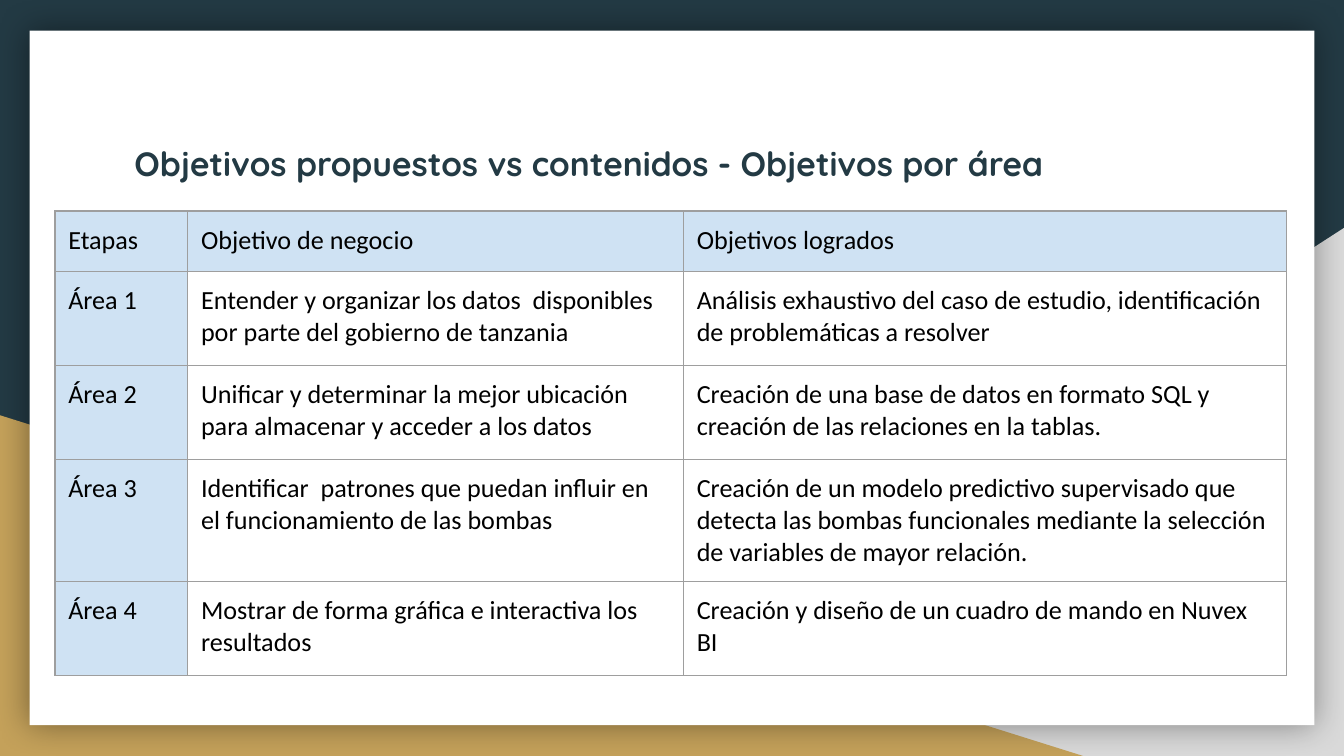
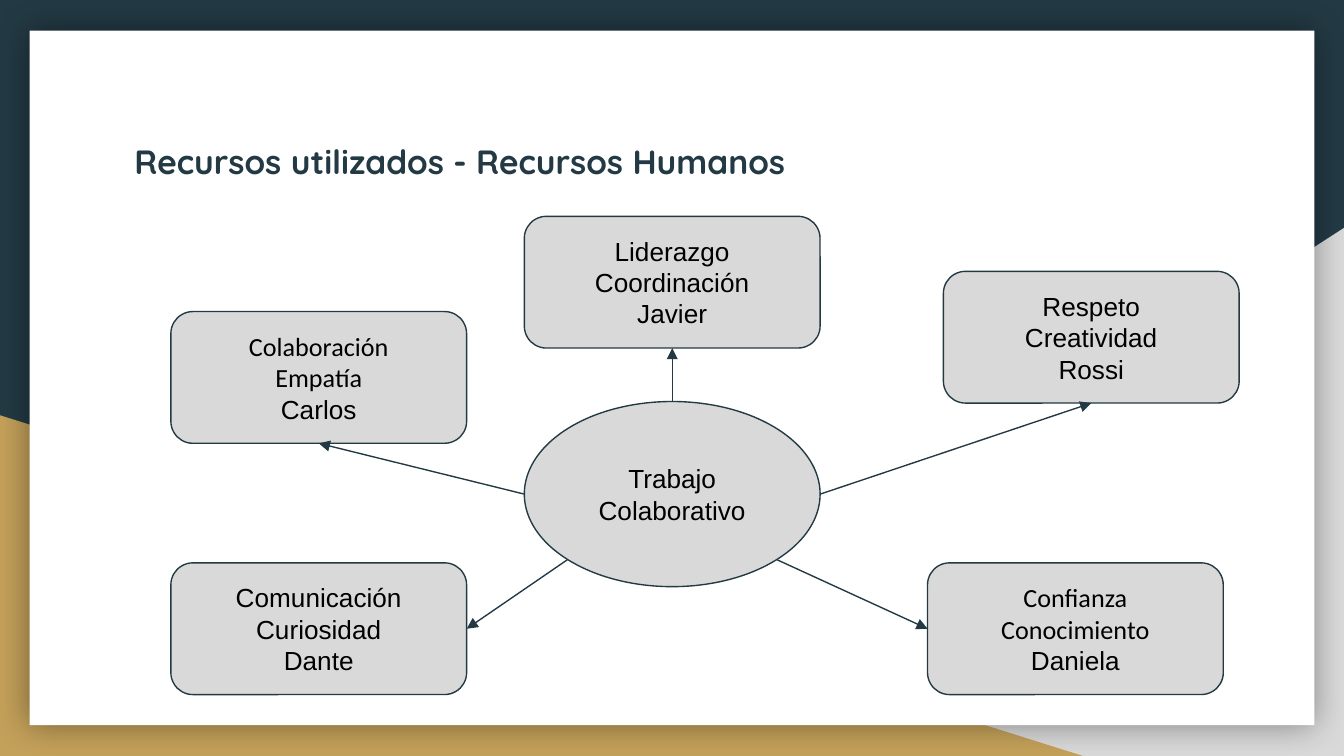
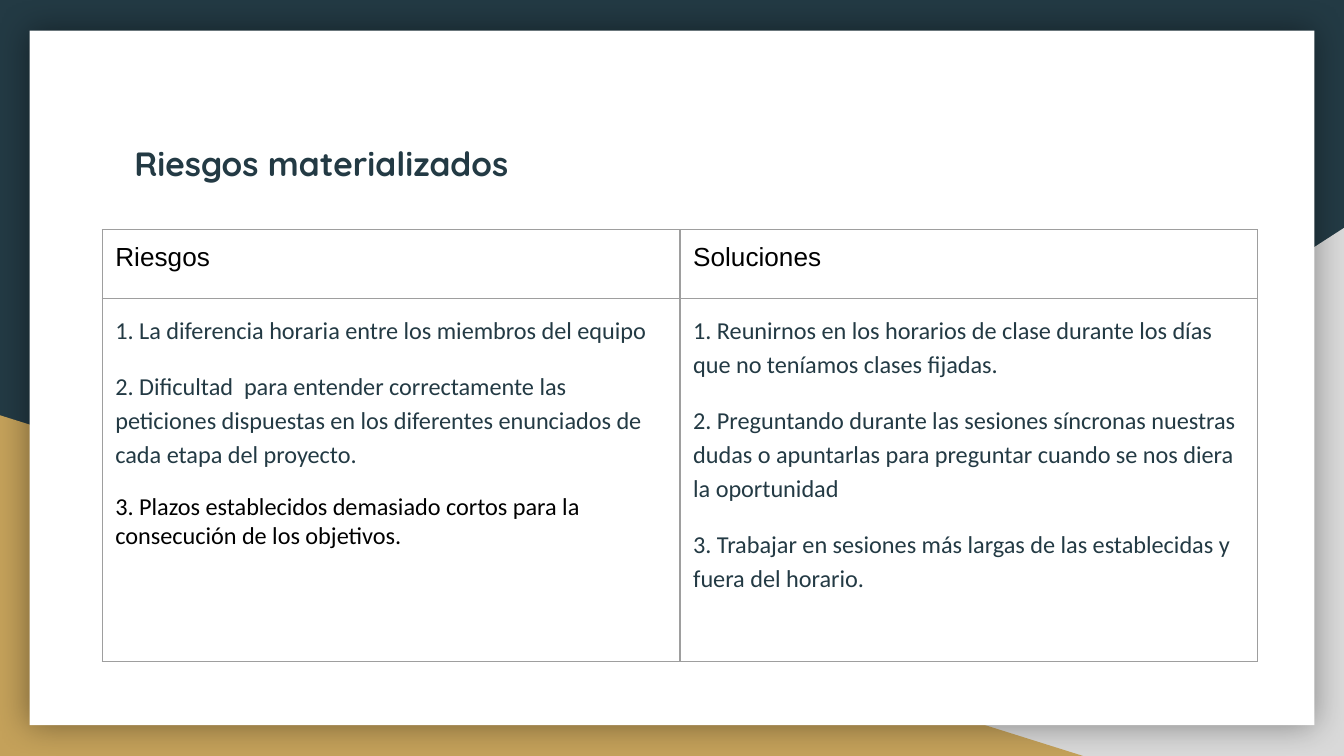
from lxml import etree
from pptx import Presentation
from pptx.dml.color import RGBColor
from pptx.enum import shapes, text
from pptx.oxml import ns
from pptx.util import Cm, Pt

NAVY = RGBColor(0x23, 0x3A, 0x44)
GOLD = RGBColor(0xC4, 0xA1, 0x5A)
SILVER = RGBColor(0xD9, 0xD9, 0xD9)
WHITE = RGBColor(0xFF, 0xFF, 0xFF)
BLACK = RGBColor(0x00, 0x00, 0x00)
SKY = RGBColor(0xCF, 0xE2, 0xF3)
GRID = RGBColor(0x9E, 0x9E, 0x9E)

HEADING_FONT, BODY_FONT, LABEL_FONT = "Quicksand", "Calibri", "Arial"
WIDTH, HEIGHT = 25.4, 14.29
INSET = Cm(0.25)

AREAS_TITLE = "Objetivos propuestos vs contenidos - Objetivos por área"
AREAS = [
    ("Etapas", "Objetivo de negocio", "Objetivos logrados"),
    ("Área 1",
     "Entender y organizar los datos  disponibles por parte del gobierno de tanzania",
     "Análisis exhaustivo del caso de estudio, identificación de problemáticas a resolver"),
    ("Área 2",
     "Unificar y determinar la mejor ubicación para almacenar y acceder a los datos",
     "Creación de una base de datos en formato SQL y creación de las relaciones en la tablas."),
    ("Área 3",
     "Identificar  patrones que puedan influir en el funcionamiento de las bombas",
     "Creación de un modelo predictivo supervisado que detecta las bombas funcionales "
     "mediante la selección de variables de mayor relación."),
    ("Área 4",
     "Mostrar de forma gráfica e interactiva los resultados",
     "Creación y diseño de un cuadro de mando en Nuvex BI"),
]

TEAM_TITLE = "Recursos utilizados - Recursos Humanos"
TEAM_CORE = "Trabajo Colaborativo"
CORE_BOX = (9.91, 7.59, 5.59, 3.5)
MEMBER_SIZE = (5.59, 2.49)
TOP, LEFT, BOTTOM, RIGHT = range(4)
DIAGONAL = 0.71
MEMBERS = [
    (("Respeto", "Creatividad", "Rossi"), LABEL_FONT, (17.83, 5.13), (1, 0), BOTTOM),
    (("Confianza", "Conocimiento", "Daniela"), BODY_FONT, (17.53, 10.64),
     (DIAGONAL, DIAGONAL), LEFT),
    (("Comunicación", "Curiosidad", "Dante"), LABEL_FONT, (3.23, 10.64),
     (-DIAGONAL, DIAGONAL), RIGHT),
    (("Liderazgo", "Coordinación", "Javier"), LABEL_FONT, (9.91, 4.09), (0, -1), TOP + BOTTOM),
    (("Colaboración", "Empatía", "Carlos"), BODY_FONT, (3.23, 5.89), (-1, 0), BOTTOM),
]

RISKS_TITLE = "Riesgos materializados"
RISK_HEADS = ("Riesgos", "Soluciones")
RISKS = [
    [("1. La diferencia horaria entre los miembros del equipo", NAVY),
     ("2. Dificultad  para entender correctamente las peticiones dispuestas en los "
      "diferentes enunciados de cada etapa del proyecto.", NAVY),
     ("3. Plazos establecidos demasiado cortos para la consecución de los objetivos.", BLACK)],
    [("1. Reunirnos en los horarios de clase durante los días que no teníamos clases fijadas.",
      NAVY),
     ("2. Preguntando durante las sesiones síncronas nuestras dudas o apuntarlas para "
      "preguntar cuando se nos diera la oportunidad", NAVY),
     ("3. Trabajar en sesiones más largas de las establecidas y fuera del horario.", NAVY)],
]


def write(paragraph, words, font, size, color, bold=False):
    run = paragraph.add_run()
    run.text = words
    run.font.name = font
    run.font.size = Pt(size)
    run.font.color.rgb = color
    run.font.bold = bold


def pad(holder):
    holder.margin_left = holder.margin_right = INSET
    holder.margin_top = holder.margin_bottom = INSET


def add_figure(slide, kind, box, fill, outline=None):
    figure = slide.shapes.add_shape(kind, *map(Cm, box))
    figure.shadow.inherit = False
    figure.fill.solid()
    figure.fill.fore_color.rgb = fill
    if outline is None:
        figure.line.fill.background()
    else:
        figure.line.color.rgb = outline
        figure.line.width = Pt(0.75)
    return figure


def add_backdrop(slide, layout):
    layout.background.fill.solid()
    layout.background.fill.fore_color.rgb = NAVY
    for holder in list(layout.placeholders)[1:]:
        holder.element.getparent().remove(holder.element)
    triangle = shapes.MSO_SHAPE.RIGHT_TRIANGLE
    silver_corner = add_figure(slide, triangle, (WIDTH - 15.44, HEIGHT - 9.98, 15.44, 9.98), SILVER)
    silver_corner.element.spPr.find(ns.qn("a:xfrm")).set("flipH", "1")
    gold_corner = add_figure(slide, triangle, (0, HEIGHT - 6.44, 20.47, 6.44), GOLD)
    card = add_figure(slide, shapes.MSO_SHAPE.RECTANGLE, (0.56, 0.58, 24.28, 13.13), WHITE)
    effects = card.element.spPr.find(ns.qn("a:effectLst"))
    glow = etree.SubElement(effects, ns.qn("a:outerShdw"), blurRad=str(Pt(18)), dist="0",
                            algn="ctr", rotWithShape="0")
    shade = etree.SubElement(glow, ns.qn("a:srgbClr"), val=str(BLACK))
    etree.SubElement(shade, ns.qn("a:alpha"), val="40000")
    tree = layout.placeholders[0].element.getparent()
    for place, part in enumerate((silver_corner, gold_corner, card), start=2):
        tree.insert(place, part.element)


def add_title(slide, words, top=2.34, height=2.64):
    title = slide.shapes.title
    title.left, title.top, title.width, title.height = map(Cm, (2.29, top, 20.85, height))
    frame = title.text_frame
    pad(frame)
    frame.word_wrap = True
    frame.auto_size = text.MSO_AUTO_SIZE.NONE
    frame.vertical_anchor = text.MSO_ANCHOR.TOP
    heading = frame.paragraphs[0]
    heading.alignment = text.PP_ALIGN.LEFT
    heading.line_spacing = 1.15
    heading.space_after = Pt(12)
    write(heading, words, HEADING_FONT, 18, NAVY, bold=True)


def style_cell(cell, fill=None):
    pad(cell)
    properties = cell._tc.get_or_add_tcPr()
    for side in ("a:lnL", "a:lnR", "a:lnT", "a:lnB"):
        border = etree.SubElement(properties, ns.qn(side), w=str(Pt(0.75)))
        paint = etree.SubElement(border, ns.qn("a:solidFill"))
        etree.SubElement(paint, ns.qn("a:srgbClr"), val=str(GRID))
    if fill is None:
        cell.fill.background()
    else:
        cell.fill.solid()
        cell.fill.fore_color.rgb = fill


def add_grid(slide, left, top, widths, heights):
    grid = slide.shapes.add_table(len(heights), len(widths), Cm(left), Cm(top),
                                  Cm(sum(widths)), Cm(sum(heights))).table
    grid.first_row = grid.horz_banding = False
    for column, width in zip(grid.columns, widths):
        column.width = Cm(width)
    for row, height in zip(grid.rows, heights):
        row.height = Cm(height)
    return grid


def fill_areas(slide):
    add_title(slide, AREAS_TITLE)
    grid = add_grid(slide, 1.04, 3.99, (2.51, 9.37, 11.4), [1.14] + [1.78] * 4)
    for r, row in enumerate(AREAS):
        for c, words in enumerate(row):
            cell = grid.cell(r, c)
            style_cell(cell, SKY if r == 0 or c == 0 else None)
            write(cell.text_frame.paragraphs[0], words, BODY_FONT, 14, BLACK)


def add_bubble(slide, kind, box, lines):
    bubble = add_figure(slide, kind, box, SILVER, NAVY)
    frame = bubble.text_frame
    pad(frame)
    frame.word_wrap = True
    frame.vertical_anchor = text.MSO_ANCHOR.MIDDLE
    for i, (words, font) in enumerate(lines):
        paragraph = frame.add_paragraph() if i else frame.paragraphs[0]
        paragraph.alignment = text.PP_ALIGN.CENTER
        write(paragraph, words, font, 14, BLACK)
    return bubble


def add_arrow(slide, start, member, site):
    arrow = slide.shapes.add_connector(shapes.MSO_CONNECTOR.STRAIGHT, *start, *start)
    arrow.end_connect(member, site)
    arrow.line.color.rgb = NAVY
    arrow.line.width = Pt(0.75)
    etree.SubElement(arrow.line._get_or_add_ln(), ns.qn("a:tailEnd"), type="triangle")
    etree.SubElement(arrow.element.spPr, ns.qn("a:effectLst"))


def fill_team(slide):
    add_title(slide, TEAM_TITLE, top=2.29)
    add_bubble(slide, shapes.MSO_SHAPE.OVAL, CORE_BOX, [(TEAM_CORE, LABEL_FONT)])
    left, top, width, height = CORE_BOX
    for (*traits, name), font, corner, (dx, dy), site in MEMBERS:
        lines = [(trait, font) for trait in traits] + [(name, LABEL_FONT)]
        member = add_bubble(slide, shapes.MSO_SHAPE.ROUNDED_RECTANGLE, corner + MEMBER_SIZE, lines)
        start = Cm(left + width * (1 + dx) / 2), Cm(top + height * (1 + dy) / 2)
        add_arrow(slide, start, member, site)


def fill_risks(slide):
    add_title(slide, RISKS_TITLE, height=1.6)
    grid = add_grid(slide, 1.93, 4.34, (10.92, 10.92), (1.3, 6.86))
    for c, (head, entries) in enumerate(zip(RISK_HEADS, RISKS)):
        head_cell, body_cell = grid.cell(0, c), grid.cell(1, c)
        style_cell(head_cell)
        style_cell(body_cell)
        write(head_cell.text_frame.paragraphs[0], head, LABEL_FONT, 14, BLACK)
        frame = body_cell.text_frame
        for i, (words, color) in enumerate(entries):
            paragraph = frame.add_paragraph() if i else frame.paragraphs[0]
            paragraph.space_before = Pt(12 if i else 0)
            paragraph.line_spacing = 1.15 if color == NAVY else 1.0
            write(paragraph, words, BODY_FONT, 13, color)


def main():
    deck = Presentation()
    deck.slide_width, deck.slide_height = Cm(WIDTH), Cm(HEIGHT)
    layout = deck.slide_layouts.get_by_name("Title Only")
    for i, fill_slide in enumerate((fill_areas, fill_team, fill_risks)):
        slide = deck.slides.add_slide(layout)
        if i == 0:
            add_backdrop(slide, layout)
        fill_slide(slide)
    deck.save("out.pptx")


if __name__ == "__main__":
    main()
